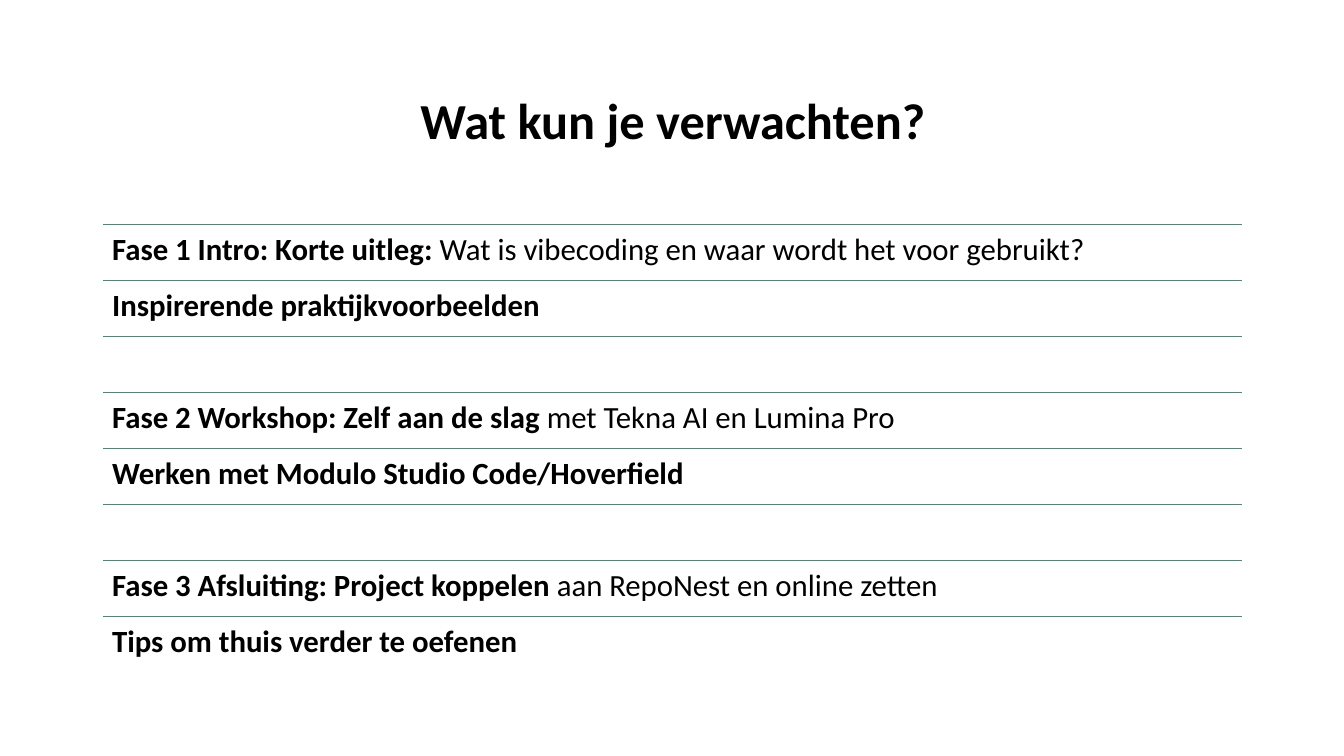
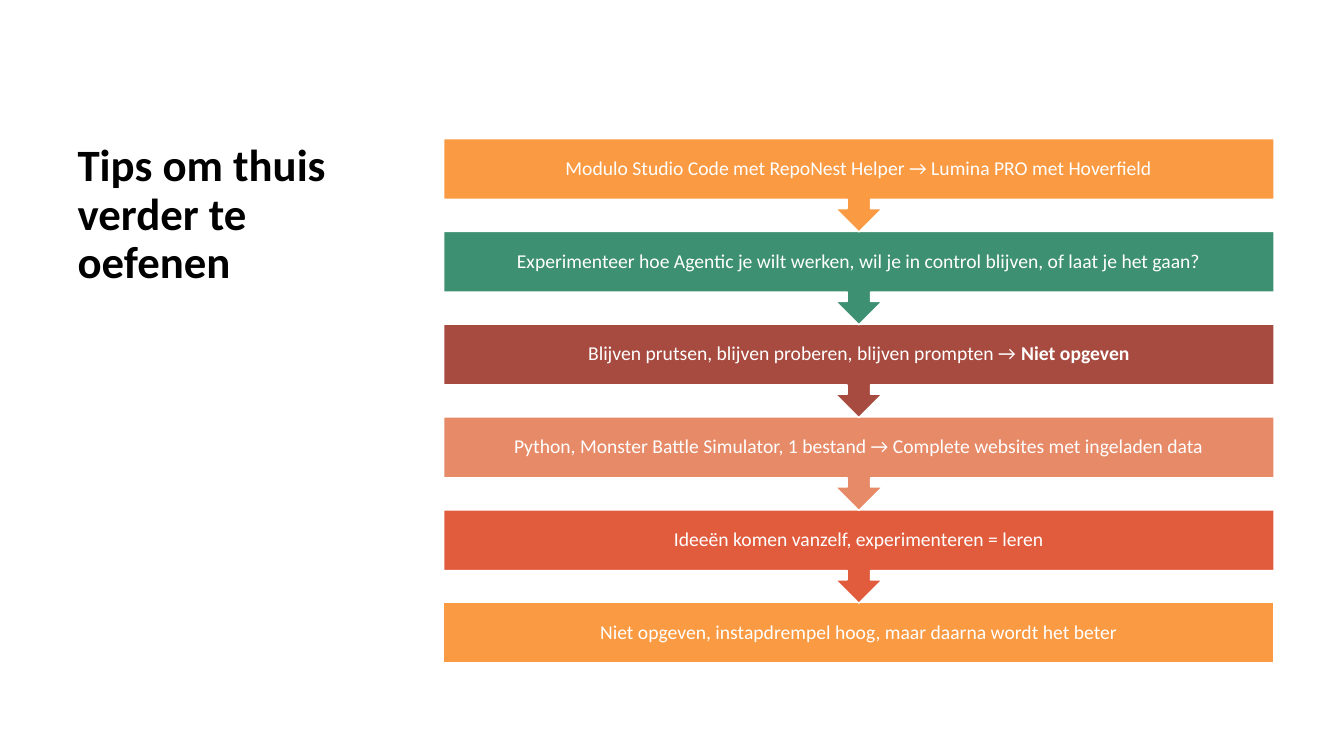
from pptx import Presentation
from pptx.dml.color import RGBColor
from pptx.enum import shapes, text
from pptx.oxml.ns import qn
from pptx.util import Pt
from lxml import etree

FONT = "Calibri"
BLACK = RGBColor(0x00, 0x00, 0x00)
WHITE = RGBColor(0xFF, 0xFF, 0xFF)
ORANGE = RGBColor(0xFA, 0x9A, 0x42)
GREEN = RGBColor(0x3D, 0x90, 0x72)
MAROON = RGBColor(0xA7, 0x4B, 0x40)
SALMON = RGBColor(0xE7, 0x8A, 0x67)
RED = RGBColor(0xE1, 0x5C, 0x3D)

AGENDA_TITLE = "Wat kun je verwachten?"
AGENDA = [
    [("Fase 1 Intro: Korte uitleg: ", True),
     ("Wat is vibecoding en waar wordt het voor gebruikt?", False)],
    [("Inspirerende praktijkvoorbeelden", True)],
    [],
    [("Fase 2 Workshop: Zelf aan de slag ", True),
     ("met Tekna AI en Lumina Pro", False)],
    [("Werken met Modulo Studio Code/Hoverfield", True)],
    [],
    [("Fase 3 Afsluiting: Project koppelen ", True),
     ("aan RepoNest en online zetten", False)],
    [("Tips om thuis verder te oefenen", True)],
]

TIPS_TITLE = "Tips om thuis verder te oefenen"
TIPS = [
    (ORANGE, [("Modulo Studio Code met RepoNest Helper → Lumina PRO met Hoverfield", False)]),
    (GREEN, [("Experimenteer hoe Agentic je wilt werken, wil je in control blijven, "
              "of laat je het gaan?", False)]),
    (MAROON, [("Blijven prutsen, blijven proberen, blijven prompten → ", False),
              ("Niet opgeven", True)]),
    (SALMON, [("Python, Monster Battle Simulator, 1 bestand → "
               "Complete websites met ingeladen data", False)]),
    (RED, [("Ideeën komen vanzelf, experimenteren = leren", False)]),
    (ORANGE, [("Niet opgeven, instapdrempel hoog, maar daarna wordt het beter", False)]),
]

ROW_LEFT, ROW_TOP, ROW_WIDTH, ROW_PITCH = 73.5, 160.4, 813.6, 40.02
STEP_LEFT, STEP_TOP, STEP_WIDTH, STEP_PITCH = 317, 99, 593, 66.3
STEP_HEIGHT, CALLOUT_HEIGHT = 43.2, 66.7
ARROW_RATIOS = (0.25, 0.25, 0.25, 0.65)


def style(paragraph, size, color, align):
    paragraph.alignment = align
    paragraph.line_spacing = 0.9
    paragraph.font.name = FONT
    paragraph.font.size = Pt(size)
    paragraph.font.color.rgb = color


def write(frame, runs, size, color, align, anchor, inset):
    frame.word_wrap = True
    frame.vertical_anchor = anchor
    frame.margin_left = frame.margin_right = Pt(inset)
    frame.margin_top = frame.margin_bottom = Pt(inset)
    paragraph = frame.paragraphs[0]
    style(paragraph, size, color, align)
    for words, bold in runs:
        run = paragraph.add_run()
        run.text = words
        run.font.bold = bold


def add_titled_slide(deck, words, box, size, align, anchor):
    slide = deck.slides.add_slide(deck.slide_layouts[5])
    title = slide.shapes.title
    title.left, title.top, title.width, title.height = map(Pt, box)
    title.text = words
    frame = title.text_frame
    frame.auto_size = text.MSO_AUTO_SIZE.NONE
    frame.word_wrap = True
    frame.vertical_anchor = anchor
    style(frame.paragraphs[0], size, BLACK, align)
    frame.paragraphs[0].font.bold = True
    return slide


def add_rule(slide, y):
    rule = slide.shapes.add_connector(
        shapes.MSO_CONNECTOR.STRAIGHT,
        Pt(ROW_LEFT), Pt(y), Pt(ROW_LEFT + ROW_WIDTH), Pt(y))
    rule.line.color.rgb = GREEN
    rule.line.width = Pt(1)
    etree.SubElement(rule._element.spPr, qn("a:effectLst"))


def build_agenda(deck):
    slide = add_titled_slide(deck, AGENDA_TITLE, (120, 43.2, 721.4, 89.3), 36,
                             text.PP_ALIGN.CENTER, text.MSO_ANCHOR.MIDDLE)
    for index, runs in enumerate(AGENDA):
        y = ROW_TOP + index * ROW_PITCH
        add_rule(slide, y)
        if runs:
            row = slide.shapes.add_textbox(
                Pt(ROW_LEFT), Pt(y), Pt(ROW_WIDTH), Pt(ROW_PITCH))
            write(row.text_frame, runs, 22, BLACK,
                  text.PP_ALIGN.LEFT, text.MSO_ANCHOR.TOP, 6.6)


def build_tips(deck):
    slide = add_titled_slide(deck, TIPS_TITLE, (48.2, 98.6, 229, 375.8), 32,
                             text.PP_ALIGN.LEFT, text.MSO_ANCHOR.TOP)
    last = len(TIPS) - 1
    for index, (color, runs) in reversed(list(enumerate(TIPS))):
        is_last = index == last
        kind = (shapes.MSO_SHAPE.RECTANGLE if is_last
                else shapes.MSO_SHAPE.DOWN_ARROW_CALLOUT)
        step = slide.shapes.add_shape(
            kind, Pt(STEP_LEFT), Pt(STEP_TOP + index * STEP_PITCH),
            Pt(STEP_WIDTH), Pt(STEP_HEIGHT if is_last else CALLOUT_HEIGHT))
        if not is_last:
            for position, ratio in enumerate(ARROW_RATIOS):
                step.adjustments[position] = ratio
        step.shadow.inherit = False
        step.fill.solid()
        step.fill.fore_color.rgb = color
        step.line.color.rgb = WHITE
        step.line.width = Pt(1)
        write(step.text_frame, runs, 14, WHITE,
              text.PP_ALIGN.CENTER, text.MSO_ANCHOR.MIDDLE, 8)


def main():
    deck = Presentation()
    deck.slide_width, deck.slide_height = Pt(960), Pt(540)
    build_agenda(deck)
    build_tips(deck)
    deck.save("out.pptx")


if __name__ == "__main__":
    main()
